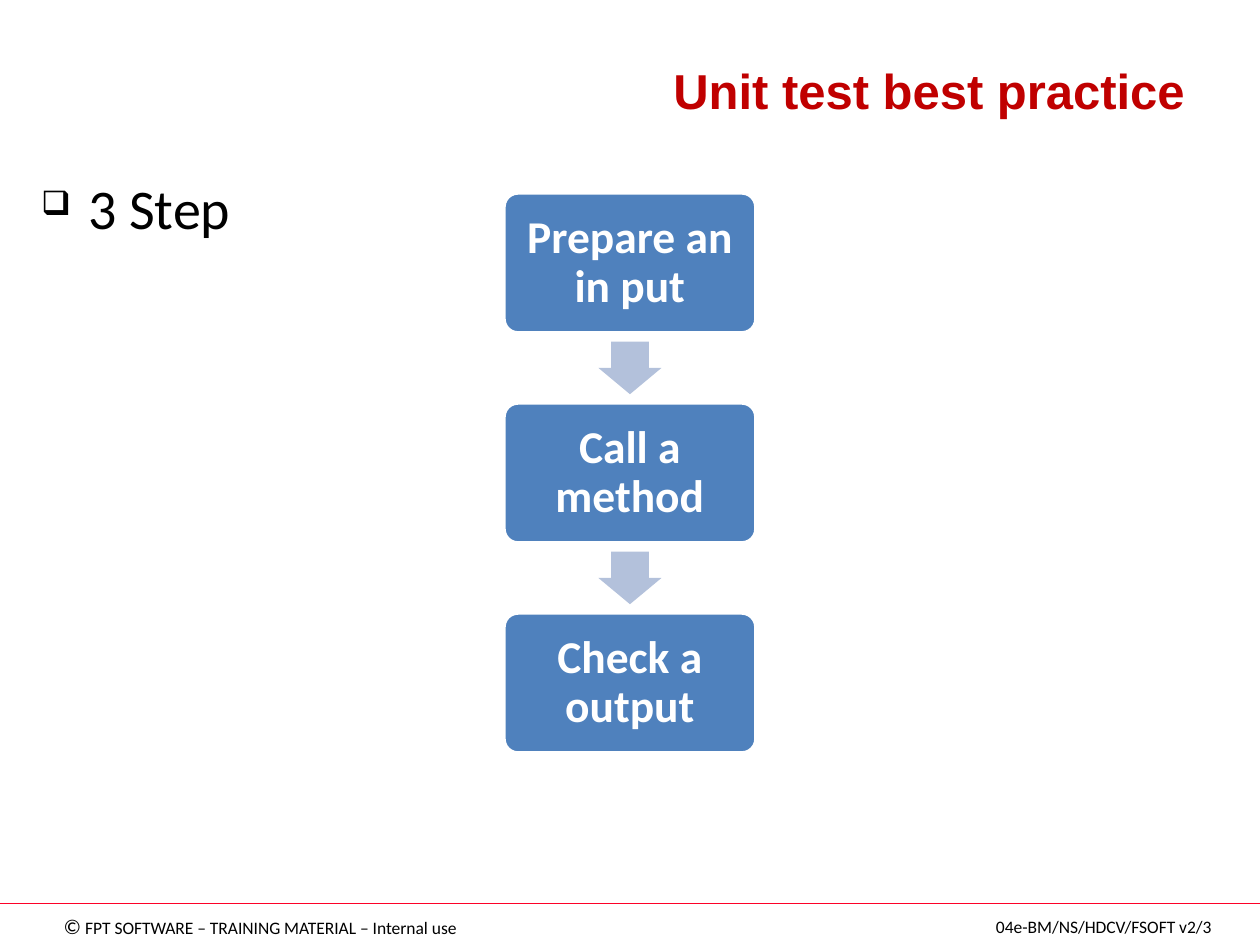
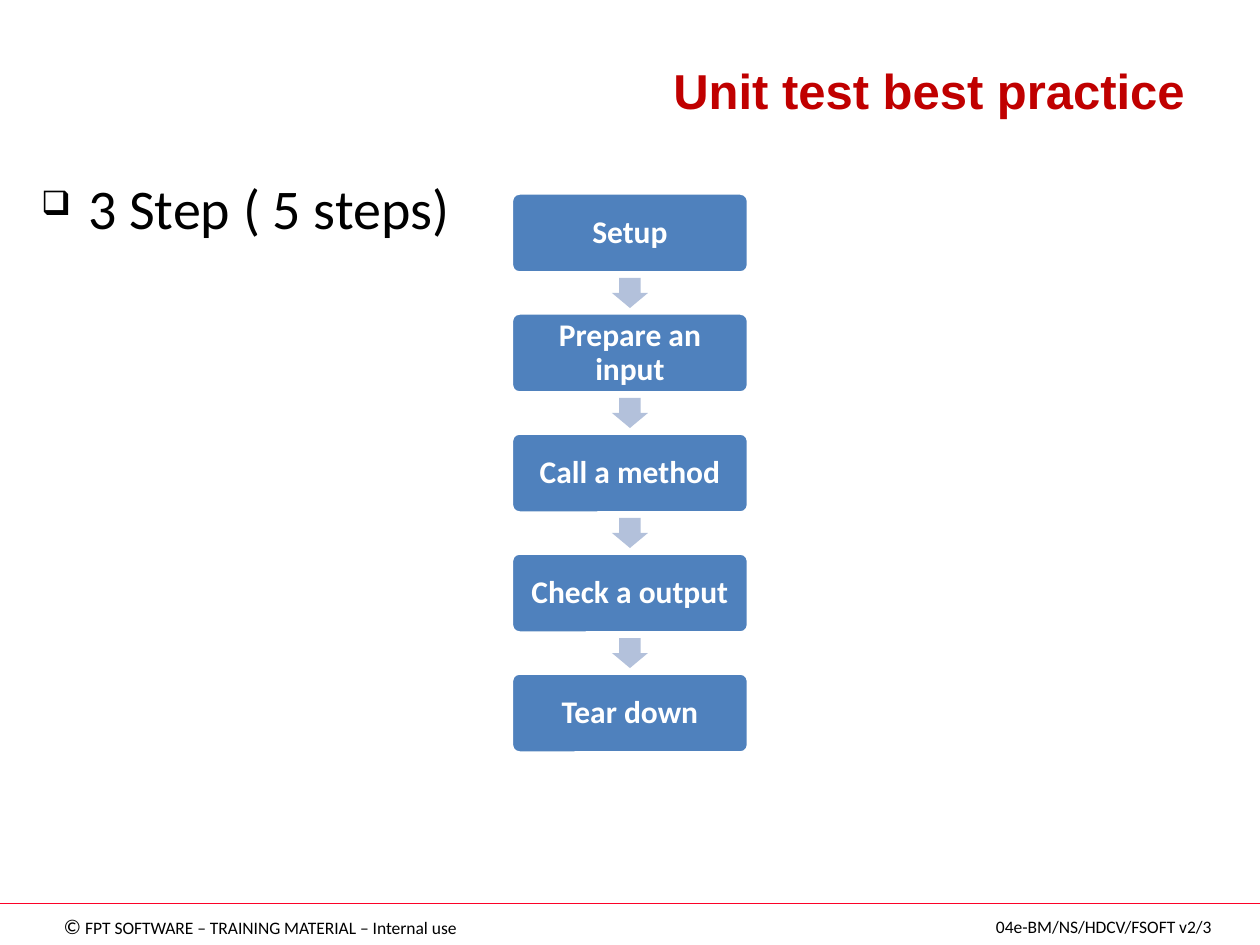
from lxml.etree import SubElement
from pptx import Presentation
from pptx.dml.color import RGBColor
from pptx.enum.shapes import MSO_CONNECTOR as Line, MSO_SHAPE as Shape
from pptx.enum.text import MSO_ANCHOR as Anchor, PP_ALIGN as Align
from pptx.oxml.ns import qn
from pptx.util import Cm, Pt

COLORS = {"title": "C00000", "text": "000000", "rule": "FC0128",
          "step": "4F81BD", "arrow": "B3C1DB", "white": "FFFFFF"}
PAGE_WIDTH, PAGE_HEIGHT = 25.4, 19.05
FLOW_TOP, FLOW_HEIGHT = 3.89, 11.29


def color(name):
    return RGBColor.from_string(COLORS[name])


class Builder:
    """Holds the shared style and the current slide; lengths are in cm."""

    def __init__(self):
        self.deck = Presentation()
        self.deck.slide_width, self.deck.slide_height = Cm(PAGE_WIDTH), Cm(PAGE_HEIGHT)
        self.page = None

    def add_page(self, title, bullet):
        self.page = self.deck.slides.add_slide(self.deck.slide_layouts[6])
        self.footer()
        self.text((1.27, 0, 22.86, 2.54), [(title, 28)], "title", "Arial",
                  bold=True, align=Align.RIGHT, anchor=Anchor.BOTTOM)
        self.bullet((0.58, 3.38, 23.55, 13.64), bullet)

    def format(self, span, size, name, font="Calibri", bold=False):
        span.font.name, span.font.size, span.font.bold = font, Pt(size), bold
        span.font.color.rgb = color(name)

    def text(self, place, pieces, name="text", font="Calibri", bold=False,
             align=Align.LEFT, anchor=Anchor.TOP, wrap=True):
        box = self.page.shapes.add_textbox(*map(Cm, place))
        frame = box.text_frame
        frame.word_wrap, frame.vertical_anchor = wrap, anchor
        para = frame.paragraphs[0]
        para.alignment = align
        for words, size in pieces:
            span = para.add_run()
            span.text = words
            self.format(span, size, name, font, bold)
        return para

    def bullet(self, place, words):
        para = self.text(place, [(words, 32)])
        props = para._p.get_or_add_pPr()
        props.set("marL", str(Cm(0.95)))
        props.set("indent", str(-Cm(0.95)))
        SubElement(props, qn("a:buSzPct"), val="60000")
        SubElement(props, qn("a:buChar"), char="❑")

    def footer(self):
        line = self.page.shapes.add_connector(
            Line.STRAIGHT, 0, Cm(18.21), Cm(PAGE_WIDTH), Cm(18.21))
        line.line.color.rgb, line.line.width = color("rule"), Pt(0.75)
        SubElement(line._element.spPr, qn("a:effectLst"))
        style = {"align": Align.CENTER, "anchor": Anchor.MIDDLE, "wrap": False}
        self.text((0.33, 18.29, 9.83, 0.76),
                  [("©", 12), (" FPT SOFTWARE – TRAINING MATERIAL – Internal use", 10)], **style)
        self.text((19.53, 18.34, 5.44, 0.69), [("04e-BM/NS/HDCV/FSOFT v2/3", 10)], **style)

    def centered_shape(self, kind, top, width, height, fill, adjustments):
        left = (PAGE_WIDTH - width) / 2
        shape = self.page.shapes.add_shape(kind, Cm(left), Cm(top), Cm(width), Cm(height))
        shape.shadow.inherit = False
        shape.fill.solid()
        shape.fill.fore_color.rgb = color(fill)
        shape.line.fill.background()
        for index, value in enumerate(adjustments):
            shape.adjustments[index] = value
        return shape

    def step(self, words, top, width, height, size):
        box = self.centered_shape(Shape.ROUNDED_RECTANGLE, top, width, height, "step", [0.1])
        box.line.color.rgb, box.line.width = color("white"), Pt(2)
        frame = box.text_frame
        frame.word_wrap, frame.vertical_anchor = True, Anchor.MIDDLE
        frame.margin_left = frame.margin_right = Cm(height / 10)
        frame.margin_top = frame.margin_bottom = Cm(height / 10)
        frame.text = words
        para = frame.paragraphs[0]
        para.alignment, para.line_spacing = Align.CENTER, 0.9
        self.format(para.runs[0], size, "white", bold=True)

    def flow(self, steps, width, size):
        # Gaps are half a step high, with an arrow centred in each
        height = FLOW_HEIGHT / (1.5 * len(steps) - 0.5)
        arrow_height = 0.375 * height
        for index, words in enumerate(steps):
            top = FLOW_TOP + index * 1.5 * height
            if index:
                arrow_top = top - (0.5 * height + arrow_height) / 2
                self.centered_shape(Shape.DOWN_ARROW, arrow_top, 0.45 * height,
                                    arrow_height, "arrow", [0.6, 0.5])
            self.step(words, top, width, height, size)


def main():
    builder = Builder()
    title = "Unit test best practice"

    # Three steps
    builder.add_page(title, "3 Step")
    builder.flow(["Prepare an in put", "Call a method", "Check a output"], 5.08, 26)

    # Five steps
    builder.add_page(title, "3 Step ( 5 steps)")
    builder.flow(["Setup", "Prepare an input", "Call a method", "Check a output",
                  "Tear down"], 4.78, 18)

    builder.deck.save("out.pptx")


if __name__ == "__main__":
    main()
